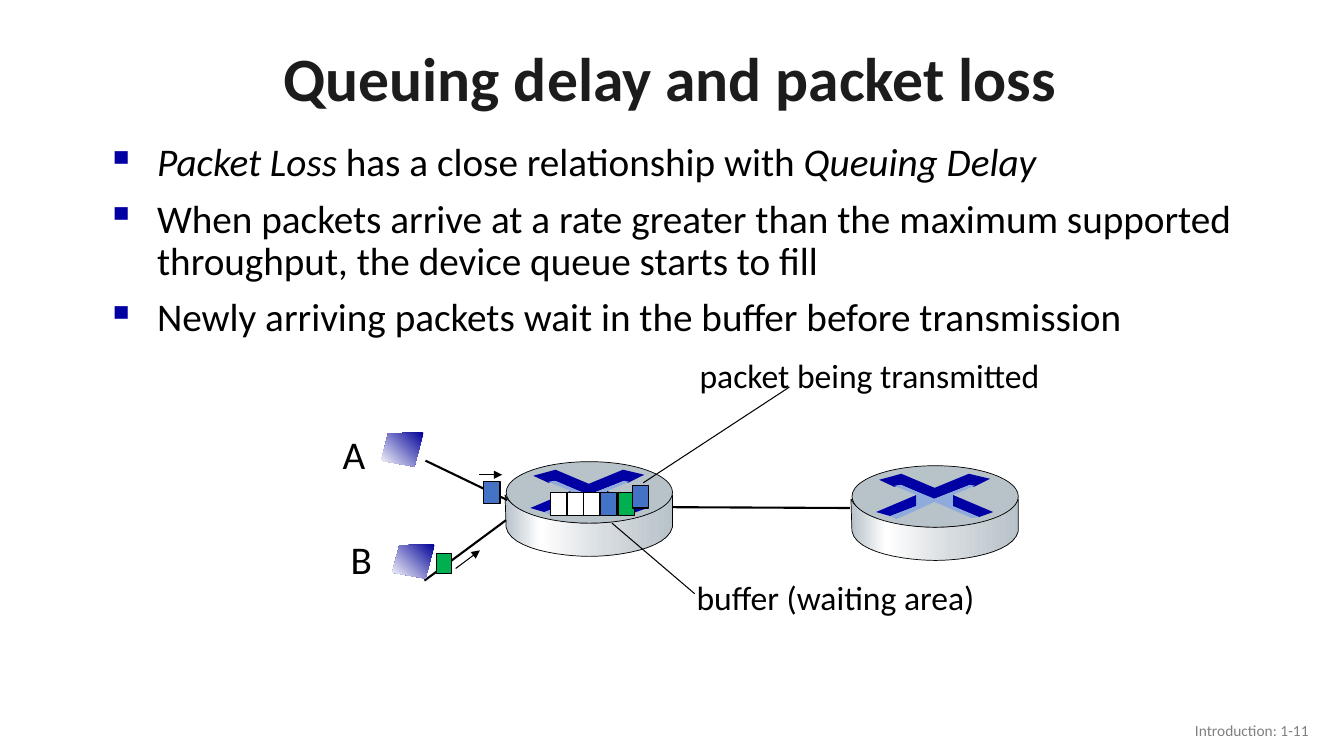
from lxml import etree
from pptx import Presentation
from pptx.dml.color import RGBColor
from pptx.enum.shapes import MSO_CONNECTOR, MSO_SHAPE
from pptx.enum.text import MSO_ANCHOR, MSO_AUTO_SIZE, PP_ALIGN
from pptx.oxml.ns import qn
from pptx.util import Pt

PX = 9144  # 100 px to the inch
BLACK, NAVY, STEEL = "000000", "0000A3", "B8C2C9"
BLUE, GREEN, WHITE = "4472C4", "00B050", "FFFFFF"
METAL = [(0, STEEL), (21, WHITE), (60, "D6DCE0"), (100, STEEL)]
SCREEN = [(0, "000099"), (100, WHITE)]

# Router outlines, measured from the router's top left corner
SIDE_CURVES = [
    [(166, 65), (161, 87), (111, 94), (84, 94)],
    [(84, 94), (56, 94), (5, 87), (1, 65)],
    [(0, 33), (8, 52), (55, 61), (83, 61)],
    [(83, 61), (110, 61), (158, 54), (166, 33)],
]
CROSS_SHADE = [(43, 20), (49, 19), (83, 33), (118, 19), (123, 20), (101, 29), (101, 40),
               (127, 51), (120, 52), (83, 36), (45, 53), (39, 50), (65, 40), (65, 29)]
CROSS_PARTS = [
    ([(117, 8), (138, 13), (122, 21), (118, 19), (82, 33), (50, 19), (43, 21), (28, 14),
      (50, 8), (83, 22)], NAVY),
    ([(101, 29), (141, 46), (127, 51), (100, 40)], NAVY),
    ([(65, 29), (65, 40), (39, 50), (25, 46)], "0000A8"),
    (CROSS_SHADE, "8FAADC"),
]
HOST = [(42, 0), (7, 1), (0, 28), (33, 34)]


def color(value):
    return RGBColor.from_string(value)


def bezier(curve, steps=12):
    points = []
    for step in range(steps + 1):
        t = step / steps
        weights = ((1 - t) ** 3, 3 * t * (1 - t) ** 2, 3 * t * t * (1 - t), t ** 3)
        points.append(tuple(sum(w * p[axis] for w, p in zip(weights, curve)) for axis in (0, 1)))
    return points


class SlideDrawer:
    font = "Calibri"

    def __init__(self, slide):
        self.slide = slide
        self.shapes = slide.shapes

    def style_shape(self, shape, fill, line=None):
        shape.shadow.inherit = False
        if isinstance(fill, str):
            shape.fill.solid()
            shape.fill.fore_color.rgb = color(fill)
        if line:
            shape.line.color.rgb = color(BLACK)
            shape.line.width = Pt(line)
        else:
            shape.line.fill.background()

    def preset(self, kind, x, y, width, height, fill, line):
        shape = self.shapes.add_shape(kind, x * PX, y * PX, width * PX, height * PX)
        self.style_shape(shape, fill, line)

    def polygon(self, x, y, points, fill, line=None, angle=0):
        placed = [(round((x + dx) * PX), round((y + dy) * PX)) for dx, dy in points]
        builder = self.shapes.build_freeform(*placed[0], scale=1.0)
        builder.add_line_segments(placed[1:], close=True)
        shape = builder.convert_to_shape()
        self.style_shape(shape, fill, line)
        if not isinstance(fill, str):
            self.gradient(shape, fill, angle)

    def gradient(self, shape, stops, angle):
        shape.fill.gradient()
        gradient = shape._element.spPr.find(qn("a:gradFill"))
        stop_list = gradient.find(qn("a:gsLst"))
        for stop in list(stop_list):
            stop_list.remove(stop)
        for position, value in stops:
            stop = etree.SubElement(stop_list, qn("a:gs"), pos=str(position * 1000))
            etree.SubElement(stop, qn("a:srgbClr"), val=value)
        gradient.find(qn("a:lin")).set("ang", str(angle * 60000))

    def line(self, x1, y1, x2, y2, width=0.75, arrow=False):
        connector = self.shapes.add_connector(
            MSO_CONNECTOR.STRAIGHT, x1 * PX, y1 * PX, x2 * PX, y2 * PX)
        connector.line.color.rgb = color(BLACK)
        connector.line.width = Pt(width)
        properties = connector._element.spPr
        if arrow:
            etree.SubElement(properties.find(qn("a:ln")), qn("a:tailEnd"), type="triangle")
        etree.SubElement(properties, qn("a:effectLst"))

    def packet(self, x, y, fill, width=16, height=22):
        self.preset(MSO_SHAPE.RECTANGLE, x, y, width, height, fill, 0.75)

    def box(self, x, y, width, height, wrap=True, anchor=MSO_ANCHOR.TOP):
        text_frame = self.shapes.add_textbox(x * PX, y * PX, width * PX, height * PX).text_frame
        text_frame.word_wrap = wrap
        text_frame.vertical_anchor = anchor
        return text_frame

    def style_run(self, run, size, value=BLACK, bold=False, italic=False):
        font = run.font
        font.name, font.size, font.bold, font.italic = self.font, Pt(size), bold, italic
        font.color.rgb = color(value)

    def text(self, text_frame, content, size, value=BLACK, bold=False, align=PP_ALIGN.LEFT):
        text_frame.text = content
        paragraph = text_frame.paragraphs[0]
        paragraph.alignment = align
        self.style_run(paragraph.runs[0], size, value, bold)
        return paragraph

    def label(self, x, y, width, height, content, size):
        text_frame = self.box(x, y, width, height, wrap=False)
        text_frame.auto_size = MSO_AUTO_SIZE.SHAPE_TO_FIT_TEXT
        self.text(text_frame, content, size)

    def bullets(self, text_frame, items):
        for index, item in enumerate(items):
            paragraph = text_frame.add_paragraph() if index else text_frame.paragraphs[0]
            properties = paragraph._p.get_or_add_pPr()
            properties.set("marL", str(56 * PX))
            properties.set("indent", str(-50 * PX))
            bullet_color = etree.SubElement(properties, qn("a:buClr"))
            etree.SubElement(bullet_color, qn("a:srgbClr"), val=NAVY)
            etree.SubElement(properties, qn("a:buChar"), char="▪")
            paragraph.line_spacing = 0.9
            if index:
                paragraph.space_before = Pt(10)
            for content, italic in item:
                run = paragraph.add_run()
                run.text = content
                self.style_run(run, 28, italic=italic)

    def router(self, x, y):
        side = [(166, 33)] + [point for curve in SIDE_CURVES for point in bezier(curve)]
        self.polygon(x, y, side, METAL, 0.5)
        self.preset(MSO_SHAPE.OVAL, x + 1, y, 165, 61, STEEL, 0.5)
        for points, fill in CROSS_PARTS:
            self.polygon(x, y, points, fill)


def main():
    presentation = Presentation()
    presentation.slide_width, presentation.slide_height = 1333 * PX, 750 * PX
    drawer = SlideDrawer(presentation.slides.add_slide(presentation.slide_layouts[6]))

    # Link between the routers, and the sending router
    drawer.line(632, 503, 843, 504, 1.5)
    drawer.router(501, 458)

    # Title, page number and bullets
    title = drawer.box(90, 32, 1150, 98, anchor=MSO_ANCHOR.MIDDLE)
    drawer.text(title, "Queuing delay and packet loss", 44, "1C1C1C", True,
                PP_ALIGN.CENTER).line_spacing = 0.9
    page = drawer.box(1008, 705, 300, 40, anchor=MSO_ANCHOR.MIDDLE)
    drawer.text(page, "Introduction: 1-11", 11, "808080", align=PP_ALIGN.RIGHT)
    drawer.bullets(drawer.box(90, 137, 1218, 476), [
        [("Packet Loss ", True), ("has a close relationship with ", False),
         ("Queuing Delay", True)],
        [("When packets arrive at a rate greater than the maximum supported throughput, "
          "the device queue starts to fill", False)],
        [("Newly arriving packets wait in the buffer before transmission", False)],
    ])

    # Hosts and their links
    drawer.line(422, 457, 503, 496, 1.5)
    drawer.line(421, 576, 502, 516, 1.5)
    drawer.label(330, 422, 43, 57, "A", 28)
    drawer.label(338, 526, 42, 57, "B", 28)
    for x, y in [(378, 429), (389, 540)]:
        drawer.polygon(x, y, HOST, SCREEN, angle=135)

    # Packets on their way to the router
    drawer.packet(480, 478, BLUE)
    drawer.line(475, 471, 498, 471, arrow=True)
    drawer.packet(433, 549, GREEN, 15, 20)
    drawer.line(452, 564, 476, 546, arrow=True)

    # Buffer slots, and the packet leaving the queue
    for slot, fill in enumerate([WHITE, WHITE, WHITE, BLUE, GREEN]):
        drawer.packet(round(546 + 16.7 * slot), 489, fill)
    drawer.packet(627, 482, BLUE)

    # Callouts
    drawer.label(684, 347, 361, 51, "packet being transmitted", 24)
    drawer.line(783, 384, 638, 479)
    drawer.label(681, 567, 299, 51, "buffer (waiting area)", 24)
    drawer.line(689, 589, 607, 519)

    # Receiving router
    drawer.router(844, 462)

    presentation.save("out.pptx")


if __name__ == "__main__":
    main()
